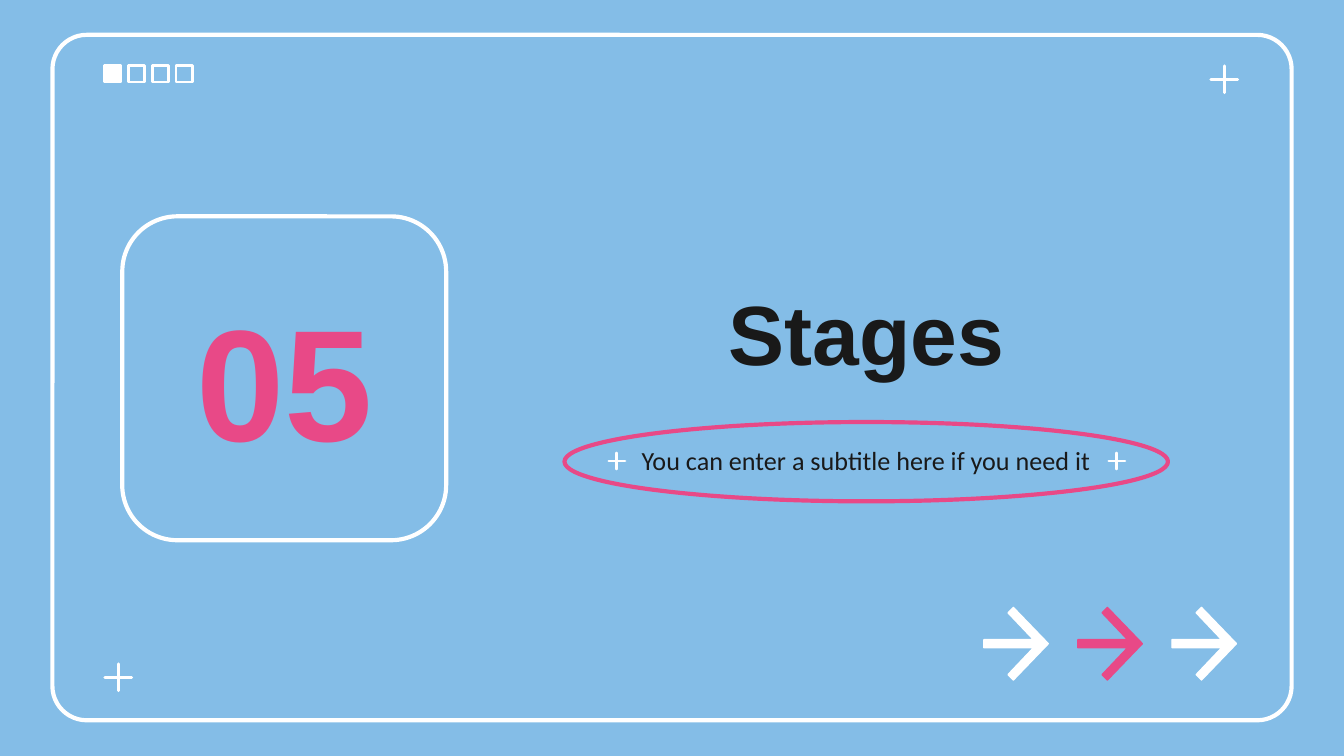
from dataclasses import dataclass

from pptx import Presentation
from pptx.dml.color import RGBColor
from pptx.enum.shapes import MSO_SHAPE
from pptx.enum.text import MSO_ANCHOR, MSO_AUTO_SIZE, PP_ALIGN
from pptx.shapes.autoshape import Shape
from pptx.slide import Slide
from pptx.util import Inches, Pt


@dataclass(frozen=True)
class Theme:
    sky: str = "84BDE7"
    white: str = "FFFFFF"
    pink: str = "E84987"
    ink: str = "191919"
    head: str = "Arial"
    body: str = "Calibri"
    title: float = 45
    number: float = 85
    sub: float = 14
    thick: float = 2.25
    mid: float = 1.5
    thin: float = 0.75


@dataclass(frozen=True)
class Box:
    left: float
    top: float
    width: float
    height: float

    def emu(self) -> tuple:
        return tuple(Inches(v) for v in
                     (self.left, self.top, self.width, self.height))


@dataclass(frozen=True)
class Type:
    font: str
    size: float
    color: str
    bold: bool = False


THEME = Theme()


def paint(shape: Shape, line: str, weight: float, fill: str | None = None) -> None:
    shape.shadow.inherit = False
    if fill:
        shape.fill.solid()
        shape.fill.fore_color.rgb = RGBColor.from_string(fill)
    else:
        shape.fill.background()
    shape.line.color.rgb = RGBColor.from_string(line)
    shape.line.width = Pt(weight)


def draw(slide: Slide, kind: MSO_SHAPE, box: Box, line: str, weight: float,
         fill: str | None = None, adjust: float | None = None) -> None:
    shape = slide.shapes.add_shape(kind, *box.emu())
    if adjust is not None:
        shape.adjustments[0] = adjust
    paint(shape, line, weight, fill)


def plus(slide: Slide, left: float, top: float, size: float) -> None:
    draw(slide, MSO_SHAPE.STAR_4_POINT, Box(left, top, size, size),
         THEME.white, THEME.mid, THEME.white, 0)


def arrow(slide: Slide, left: float, top: float, color: str) -> None:
    # Upper half of the outline; the lower half mirrors it
    tall = 0.54
    upper = [(0.22, 0), (0.18, 0.04), (0.37, 0.24), (0, 0.24)]
    lower = [(x, tall - y) for x, y in reversed(upper)]
    points = [(Inches(left + x), Inches(top + y))
              for x, y in upper + lower + [(0.48, tall / 2)]]
    pen = slide.shapes.build_freeform(*points[0])
    pen.add_line_segments(points[1:], close=True)
    paint(pen.convert_to_shape(), color, THEME.thin, color)


def write(shape: Shape, box: Box, text: str, style: Type, side: float = 0.1) -> None:
    shape.left, shape.top, shape.width, shape.height = box.emu()
    frame = shape.text_frame
    frame.text = text
    frame.word_wrap = True
    frame.auto_size = MSO_AUTO_SIZE.NONE
    frame.vertical_anchor = MSO_ANCHOR.MIDDLE
    frame.margin_left = frame.margin_right = Inches(side)
    frame.margin_top = frame.margin_bottom = Inches(0.1)
    line = frame.paragraphs[0]
    line.alignment = PP_ALIGN.CENTER
    line.space_before = Pt(0)
    font = line.runs[0].font
    font.name, font.size, font.bold = style.font, Pt(style.size), style.bold
    font.color.rgb = RGBColor.from_string(style.color)


def main() -> None:
    # Wide page, 16 to 9
    deck = Presentation()
    deck.slide_width, deck.slide_height = Inches(10), Inches(10 * 9 / 16)
    slide = deck.slides.add_slide(deck.slide_layouts[0])
    back = slide.background.fill
    back.solid()
    back.fore_color.rgb = RGBColor.from_string(THEME.sky)

    # Frame and corner marks
    draw(slide, MSO_SHAPE.ROUNDED_RECTANGLE, Box(0.39, 0.26, 9.22, 5.1),
         THEME.white, THEME.thick, adjust=0.05)
    plus(slide, 0.78, 4.94, 0.2)
    plus(slide, 9.01, 0.49, 0.2)

    # Row of squares, the first one filled
    for i in range(4):
        draw(slide, MSO_SHAPE.RECTANGLE,
             Box(0.78 + i * 0.53 / 3, 0.49, 0.12, 0.12),
             THEME.white, THEME.mid, None if i else THEME.white)

    # Section number
    draw(slide, MSO_SHAPE.ROUNDED_RECTANGLE, Box(0.91, 1.61, 2.41, 2.41),
         THEME.white, THEME.thick, adjust=0.17)
    place = Box(0.91, 1.87, 2.41, 1.89)
    write(slide.shapes.add_textbox(*place.emu()), place, "05",
          Type(THEME.head, THEME.number, THEME.pink, True), side=0)

    # Title, and subtitle in its oval
    write(slide.shapes.title, Box(3.81, 1.92, 5.27, 1.1), "Stages",
          Type(THEME.head, THEME.title, THEME.ink, True))
    draw(slide, MSO_SHAPE.OVAL, Box(4.2, 3.14, 4.49, 0.59),
         THEME.pink, THEME.thick)
    write(slide.placeholders[1], Box(4.52, 3.2, 3.85, 0.45),
          "You can enter a subtitle here if you need it",
          Type(THEME.body, THEME.sub, THEME.ink))
    for left in (4.53, 8.25):
        plus(slide, left, 3.37, 0.12)

    # Arrows
    for i, color in enumerate((THEME.white, THEME.pink, THEME.white)):
        arrow(slide, 7.32 + i * 0.7, 4.52, color)

    deck.save("out.pptx")


if __name__ == "__main__":
    main()
